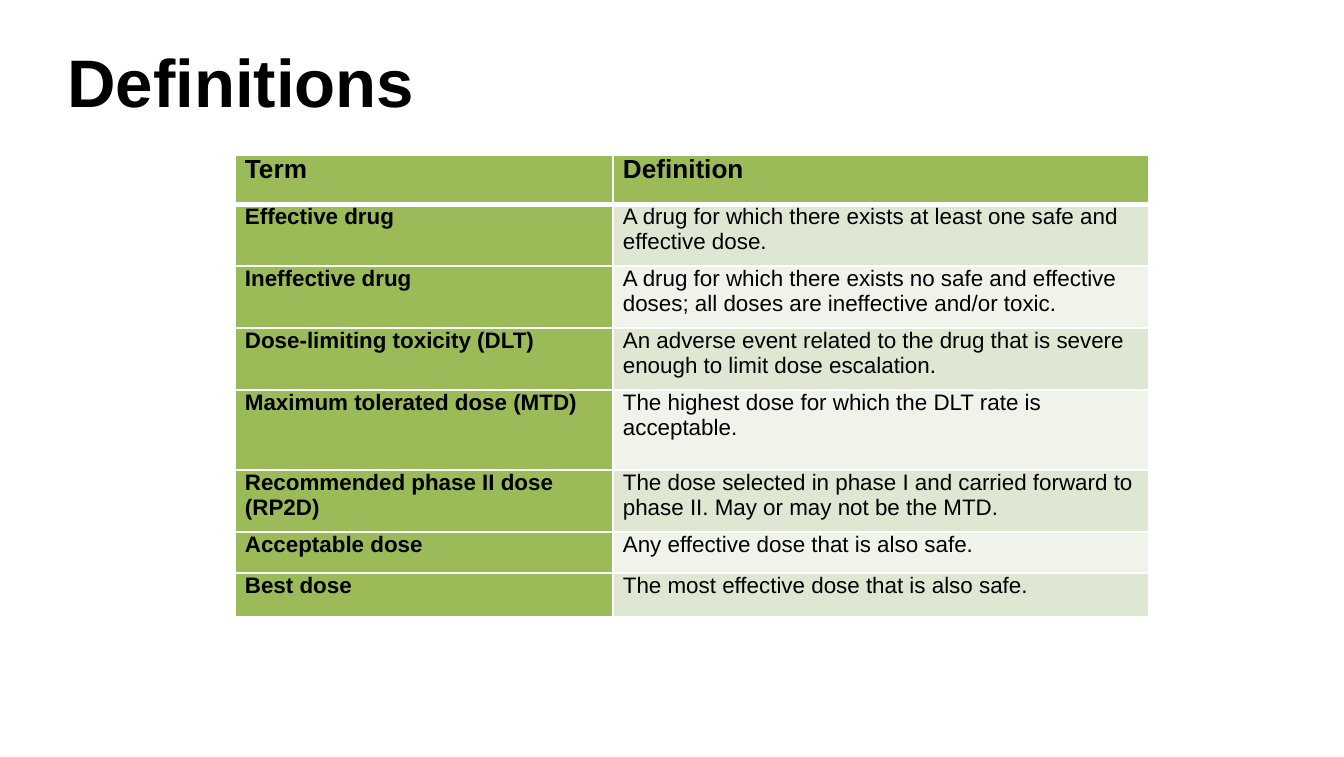
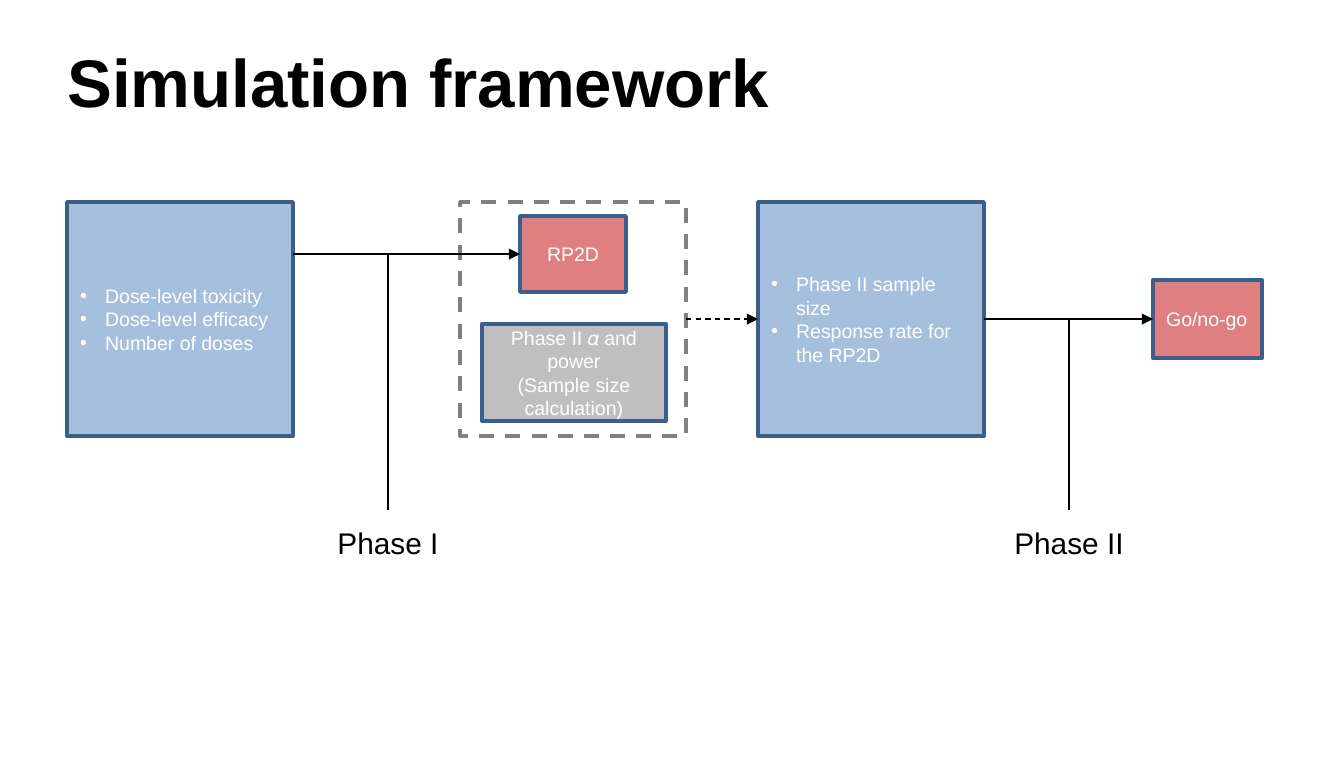
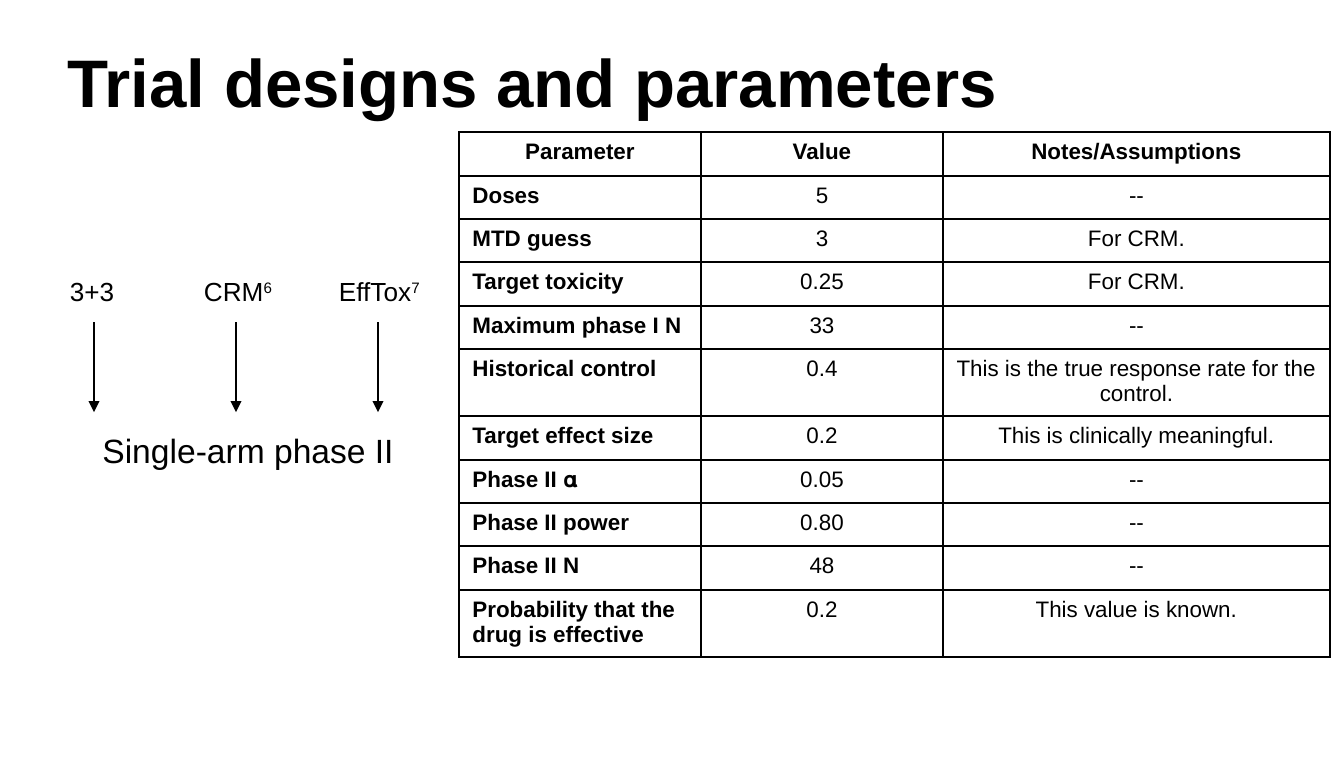
from lxml import etree
from pptx import Presentation
from pptx.dml.color import RGBColor
from pptx.enum.dml import MSO_LINE
from pptx.enum.shapes import MSO_CONNECTOR, MSO_SHAPE
from pptx.enum.text import MSO_ANCHOR, PP_ALIGN
from pptx.oxml.ns import qn
from pptx.util import Emu, Inches, Pt

PX_PER_INCH = 134.4
FONT = "Arial"
BLACK = RGBColor(0x00, 0x00, 0x00)
WHITE = RGBColor(0xFF, 0xFF, 0xFF)
GREEN = RGBColor(0x9B, 0xBB, 0x59)
GREEN_BAND = RGBColor(0xDE, 0xE7, 0xD1)
GREEN_PALE = RGBColor(0xEF, 0xF3, 0xEA)
BLUE = RGBColor(0x4F, 0x81, 0xBD)
BLUE_EDGE = RGBColor(0x3A, 0x5F, 0x8C)
RED = RGBColor(0xC0, 0x00, 0x00)
GRAY = RGBColor(0x80, 0x80, 0x80)

DEFINITIONS = [
    ("Term", "Definition"),
    ("Effective drug", "A drug for which there exists at least one safe and effective dose."),
    ("Ineffective drug", "A drug for which there exists no safe and effective doses; "
                         "all doses are ineffective and/or toxic."),
    ("Dose-limiting toxicity (DLT)", "An adverse event related to the drug that is severe "
                                     "enough to limit dose escalation."),
    ("Maximum tolerated dose (MTD)", "The highest dose for which the DLT rate is acceptable."),
    ("Recommended phase II dose (RP2D)", "The dose selected in phase I and carried forward to "
                                         "phase II. May or may not be the MTD."),
    ("Acceptable dose", "Any effective dose that is also safe."),
    ("Best dose", "The most effective dose that is also safe."),
]
PARAMETERS = [
    ("Parameter", "Value", "Notes/Assumptions"),
    ("Doses", "5", "--"),
    ("MTD guess", "3", "For CRM."),
    ("Target toxicity", "0.25", "For CRM."),
    ("Maximum phase I N", "33", "--"),
    ("Historical control", "0.4", "This is the true response rate for the control."),
    ("Target effect size", "0.2", "This is clinically meaningful."),
    ("Phase II 𝛂", "0.05", "--"),
    ("Phase II power", "0.80", "--"),
    ("Phase II N", "48", "--"),
    ("Probability that the drug is effective", "0.2", "This value is known."),
]


def px(n):
    return Emu(round(n * 914400 / PX_PER_INCH))


def format_text(tf, size, color=BLACK, bold=False, align=PP_ALIGN.LEFT):
    for p in tf.paragraphs:
        p.alignment = align
        for r in p.runs:
            r.font.name = FONT
            r.font.size = Pt(size)
            r.font.bold = bold
            r.font.color.rgb = color


def add_titled_slide(prs, title):
    s = prs.slides.add_slide(prs.slide_layouts[5])
    sp = s.shapes.title
    sp.left, sp.top, sp.width, sp.height = px(54), px(33), px(1275), px(95)
    tf = sp.text_frame
    tf.text = title
    tf.vertical_anchor = MSO_ANCHOR.BOTTOM
    format_text(tf, 36, bold=True)
    return s


def add_label(s, x, y, w, h, text, size, align=PP_ALIGN.CENTER, anchor=MSO_ANCHOR.MIDDLE):
    sp = s.shapes.add_textbox(px(x), px(y), px(w), px(h))
    tf = sp.text_frame
    tf.word_wrap = True
    tf.vertical_anchor = anchor
    tf.text = text
    format_text(tf, size, align=align)
    return tf


def add_box(s, x, y, w, h, text="", fill=None, align=PP_ALIGN.CENTER, bullets=False):
    """A framed rectangle with a half-transparent fill, or dashed when it has no fill."""
    sp = s.shapes.add_shape(MSO_SHAPE.RECTANGLE, px(x), px(y), px(w), px(h))
    sp.shadow.inherit = False
    sp.line.width = Pt(2)
    if fill is None:
        sp.fill.background()
        sp.line.color.rgb = GRAY
        sp.line.dash_style = MSO_LINE.DASH
        return sp
    sp.line.color.rgb = BLUE_EDGE
    sp.fill.solid()
    sp.fill.fore_color.rgb = fill
    color = sp.fill._xPr.find(".//" + qn("a:srgbClr"))
    etree.SubElement(color, qn("a:alpha"), val="50000")
    tf = sp.text_frame
    tf.word_wrap = True
    tf.vertical_anchor = MSO_ANCHOR.MIDDLE
    tf.text = text
    if bullets:
        for p in tf.paragraphs:
            pPr = p._p.get_or_add_pPr()
            pPr.set("marL", str(px(25)))
            pPr.set("indent", str(-px(25)))
            etree.SubElement(pPr, qn("a:buFont"), typeface=FONT)
            etree.SubElement(pPr, qn("a:buChar"), char="•")
    format_text(tf, 10.5, WHITE, align=align)
    return sp


def add_line(s, x1, y1, x2, y2, start=None, end=None, arrow=True, dashed=False):
    """A thin line; start and end are boxes joined at their right and left sides."""
    c = s.shapes.add_connector(MSO_CONNECTOR.STRAIGHT, px(x1), px(y1), px(x2), px(y2))
    c.line.color.rgb = BLACK
    c.line.width = Pt(0.75)
    if dashed:
        c.line.dash_style = MSO_LINE.DASH
    if arrow:
        etree.SubElement(c.line._get_or_add_ln(), qn("a:tailEnd"), type="triangle")
    etree.SubElement(c._element.spPr, qn("a:effectLst"))
    if start is not None:
        c.begin_connect(start, 3)
    if end is not None:
        c.end_connect(end, 1)


def set_borders(cell, color, bottom=1):
    tcPr = cell._tc.get_or_add_tcPr()
    for side, width in (("L", 1), ("R", 1), ("T", 1), ("B", bottom)):
        ln = etree.SubElement(tcPr, qn("a:ln" + side), w=str(Pt(width)))
        fill = etree.SubElement(ln, qn("a:solidFill"))
        etree.SubElement(fill, qn("a:srgbClr"), val=str(color))


def add_table(s, x, y, widths, heights, rows, style_cell):
    """A plain table; style_cell(cell, row, column) sets the look of each cell."""
    table = s.shapes.add_table(len(rows), len(widths), px(x), px(y),
                               px(sum(widths)), px(sum(heights))).table
    table.first_row = table.horz_banding = False
    for column, w in zip(table.columns, widths):
        column.width = px(w)
    for row, h in zip(table.rows, heights):
        row.height = px(h)
    for i, texts in enumerate(rows):
        for j, text in enumerate(texts):
            cell = table.cell(i, j)
            cell.text = text
            style_cell(cell, i, j)
    return table


def style_definition(cell, i, j):
    cell.margin_left = cell.margin_right = px(10)
    cell.margin_top = cell.margin_bottom = 0
    set_borders(cell, WHITE, bottom=3 if i == 0 else 1)
    cell.fill.solid()
    heading = i == 0 or j == 0
    band = GREEN_BAND if i % 2 else GREEN_PALE
    cell.fill.fore_color.rgb = GREEN if heading else band
    format_text(cell.text_frame, 14 if i == 0 else 12, bold=heading)


def style_parameter(cell, i, j):
    set_borders(cell, BLACK)
    cell.fill.background()
    align = PP_ALIGN.LEFT if i and j == 0 else PP_ALIGN.CENTER
    format_text(cell.text_frame, 12, bold=i == 0 or j == 0, align=align)


def build_definitions(prs):
    s = add_titled_slide(prs, "Definitions")
    add_table(s, 235, 155, [378, 536], [49, 62, 62, 62, 80, 62, 41, 44],
              DEFINITIONS, style_definition)


def build_framework(prs):
    s = add_titled_slide(prs, "Simulation framework")
    top, w, h = 202, 226, 234
    add_box(s, 67, top, w, h, "Dose-level toxicity\nDose-level efficacy\nNumber of doses",
            BLUE, PP_ALIGN.LEFT, bullets=True)
    rp2d = add_box(s, 520, 216, 106, 76, "RP2D", RED)
    add_box(s, 482, 324, 184, 97, "Phase II 𝛼 and power\n(Sample size calculation)", GRAY)
    phase2 = add_box(s, 758, top, w, h, "Phase II sample size\nResponse rate for the RP2D",
                     BLUE, PP_ALIGN.LEFT, bullets=True)
    decision = add_box(s, 1153, 280, 109, 78, "Go/no-go", RED, PP_ALIGN.LEFT)
    handover = add_box(s, 460, top, w, h)

    add_line(s, 293, 254, 520, 254, end=rp2d)
    add_line(s, 686, 319, 758, 319, handover, phase2, dashed=True)
    add_line(s, 984, 319, 1153, 319, phase2, decision)
    for text, x, y in (("Phase I", 388, 254), ("Phase II", 1069, 319)):
        add_label(s, x - 95, 476, 190, 133, text, 16)
        add_line(s, x, 510, x, y, arrow=False)


def build_designs(prs):
    s = add_titled_slide(prs, "Trial designs and parameters")
    heights = [67 if i in (5, 10) else 43 + (i % 3 == 0) for i in range(len(PARAMETERS))]
    table = add_table(s, 459, 132, [242, 242, 387], heights, PARAMETERS, style_parameter)
    alpha = table.cell(7, 0).text_frame
    alpha.text = "Phase II "
    format_text(alpha, 12, bold=True)
    r = alpha.paragraphs[0].add_run()
    r.text = "𝛂"
    r.font.name, r.font.size, r.font.color.rgb = FONT, Pt(12), BLACK

    tf = add_label(s, 42, 236, 400, 77, "3+3\tCRM", 14, PP_ALIGN.LEFT, MSO_ANCHOR.BOTTOM)
    tf.margin_left = px(28)
    p = tf.paragraphs[0]
    tabs = etree.SubElement(p._p.get_or_add_pPr(), qn("a:tabLst"))
    for stop in (134, 269):
        etree.SubElement(tabs, qn("a:tab"), pos=str(px(stop)), algn="l")
    for text in ("6", "\tEffTox", "7"):
        r = p.add_run()
        r.text = text
        if text.isdigit():
            r._r.get_or_add_rPr().set("baseline", "30000")
    format_text(tf, 14)

    add_label(s, 54, 423, 388, 54, "Single-arm phase II", 18)
    for x in (94, 236, 378):
        add_line(s, x, 322, x, 412)


def main():
    prs = Presentation()
    prs.slide_width, prs.slide_height = Inches(10), Inches(5.63)
    build_definitions(prs)
    build_framework(prs)
    build_designs(prs)
    prs.save("out.pptx")


if __name__ == "__main__":
    main()
